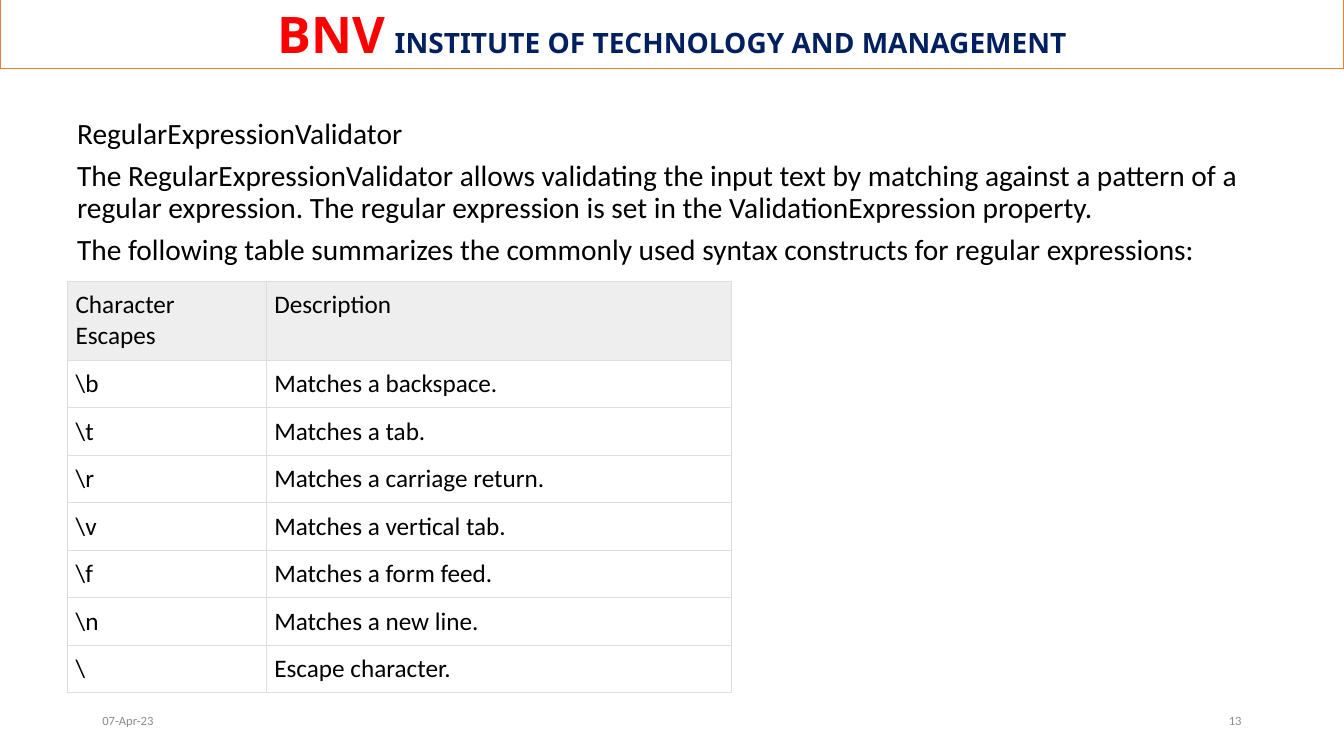
"""Build the RegularExpressionValidator slide with its table of character escapes."""
from lxml import etree
from pptx import Presentation
from pptx.dml import color
from pptx.enum import shapes, text
from pptx.oxml import ns
from pptx.util import Pt


def rgb(value):
    return color.RGBColor.from_string(value)


def style(span, size, shade, font="Calibri", bold=False):
    span.font.size = Pt(size)
    span.font.name = font
    span.font.bold = bold
    span.font.color.rgb = rgb(shade)


deck = Presentation()
deck.slide_width, deck.slide_height = Pt(960), Pt(540)
page = deck.slides.add_slide(deck.slide_layouts[6])

banner = page.shapes.add_shape(shapes.MSO_SHAPE.RECTANGLE, Pt(0), Pt(-2), Pt(960), Pt(51))
banner.shadow.inherit = False
banner.fill.solid()
banner.fill.fore_color.rgb = rgb("FFFFFF")
banner.line.color.rgb = rgb("ED7D31")
banner.line.width = Pt(1)
banner.text_frame.margin_top = banner.text_frame.margin_bottom = 0
banner.text_frame.vertical_anchor = text.MSO_ANCHOR.MIDDLE
para = banner.text_frame.paragraphs[0]
para.alignment = text.PP_ALIGN.CENTER
para.space_after = Pt(2)
for words, size, shade in [
    ("BNV", 36, "FF0000"),
    (" ", 27, "FF0000"),
    ("INSTITUTE OF TECHNOLOGY AND MANAGEMENT", 20, "002060"),
]:
    span = para.add_run()
    span.text = words
    style(span, size, shade, "Noto Sans", True)

body = page.shapes.add_textbox(Pt(48), Pt(81.5), Pt(864), Pt(401))
body.text_frame.word_wrap = True
body.text_frame.text = "\n".join([
    "RegularExpressionValidator",
    "The RegularExpressionValidator allows validating the input text by matching against "
    "a pattern of a regular expression. The regular expression is set in the "
    "ValidationExpression property.",
    "The following table summarizes the commonly used syntax constructs for regular expressions:",
])
for para in body.text_frame.paragraphs:
    para.line_spacing = 0.9
    para.space_before = Pt(7.5)
    style(para.runs[0], 21, "000000")

for words, left, alignment in [
    ("07-Apr-23", 66, text.PP_ALIGN.LEFT),
    ("13", 678, text.PP_ALIGN.RIGHT),
]:
    box = page.shapes.add_textbox(Pt(left), Pt(500.5), Pt(216), Pt(28.75))
    box.text_frame.word_wrap = True
    box.text_frame.vertical_anchor = text.MSO_ANCHOR.MIDDLE
    box.text_frame.text = words
    para = box.text_frame.paragraphs[0]
    para.alignment = alignment
    style(para.runs[0], 9, "8C8C8C")

escapes = [
    ("Character Escapes", "Description"),
    ("\\b", "Matches a backspace."),
    ("\\t", "Matches a tab."),
    ("\\r", "Matches a carriage return."),
    ("\\v", "Matches a vertical tab."),
    ("\\f", "Matches a form feed."),
    ("\\n", "Matches a new line."),
    ("\\", "Escape character."),
]
frame = page.shapes.add_table(len(escapes), 2, Pt(48), Pt(201), Pt(474.5), Pt(294))
table = frame.table
table.horz_banding = False
for column, width in zip(table.columns, (142, 332.5)):
    column.width = Pt(width)
for index, entries in enumerate(escapes):
    table.rows[index].height = Pt(33.9 if index else 56.5)
    for cell, words in zip(table.rows[index].cells, entries):
        cell.margin_left = cell.margin_right = Pt(6)
        cell.margin_top = cell.margin_bottom = Pt(6)
        cell.text_frame.text = words
        style(cell.text_frame.paragraphs[0].runs[0], 18, "000000")
        properties = cell._tc.get_or_add_tcPr()
        for side in ("lnL", "lnR", "lnT", "lnB"):
            border = etree.SubElement(properties, ns.qn("a:" + side), w=str(Pt(0.75)))
            paint = etree.SubElement(border, ns.qn("a:solidFill"))
            etree.SubElement(paint, ns.qn("a:srgbClr"), val="DDDDDD")
        cell.fill.solid()
        cell.fill.fore_color.rgb = rgb("FFFFFF" if index else "EEEEEE")

deck.save("out.pptx")
